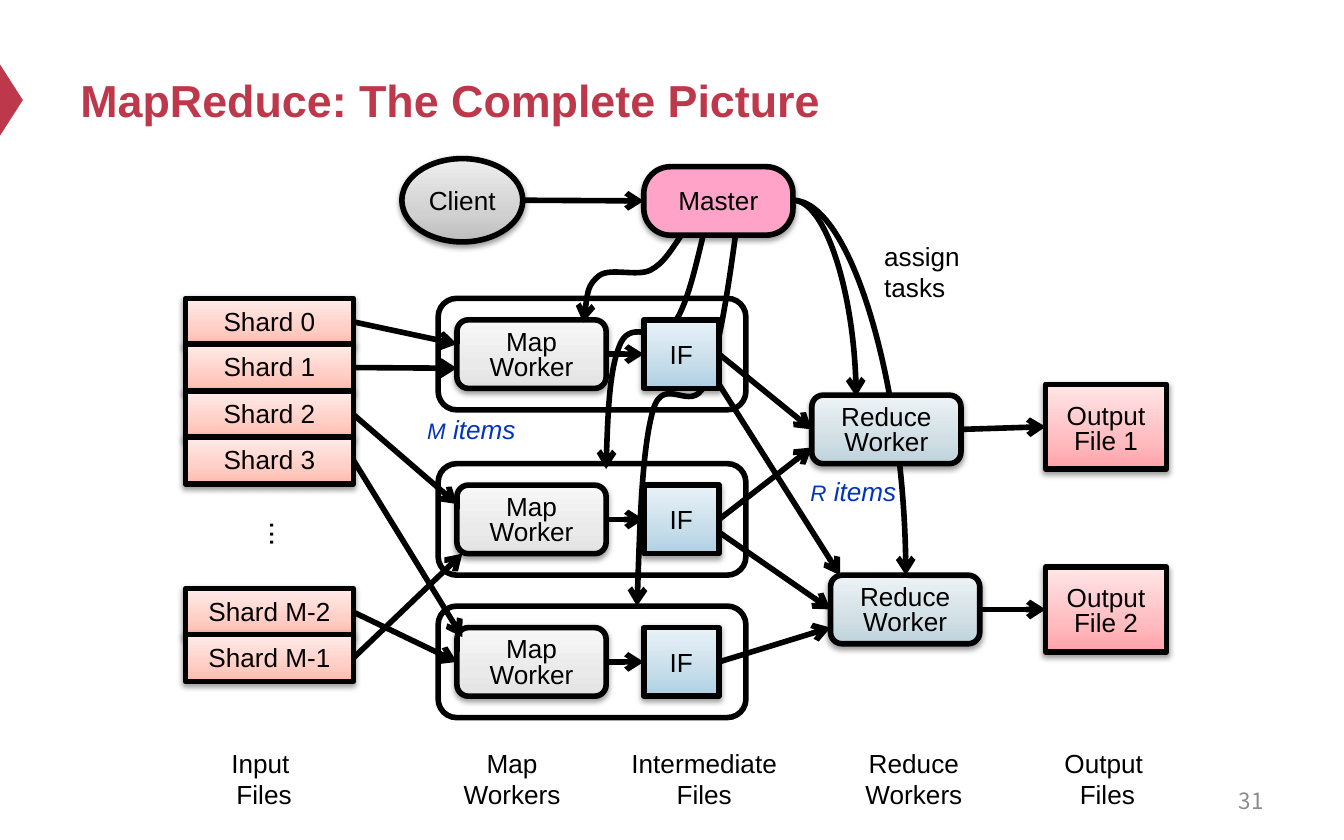
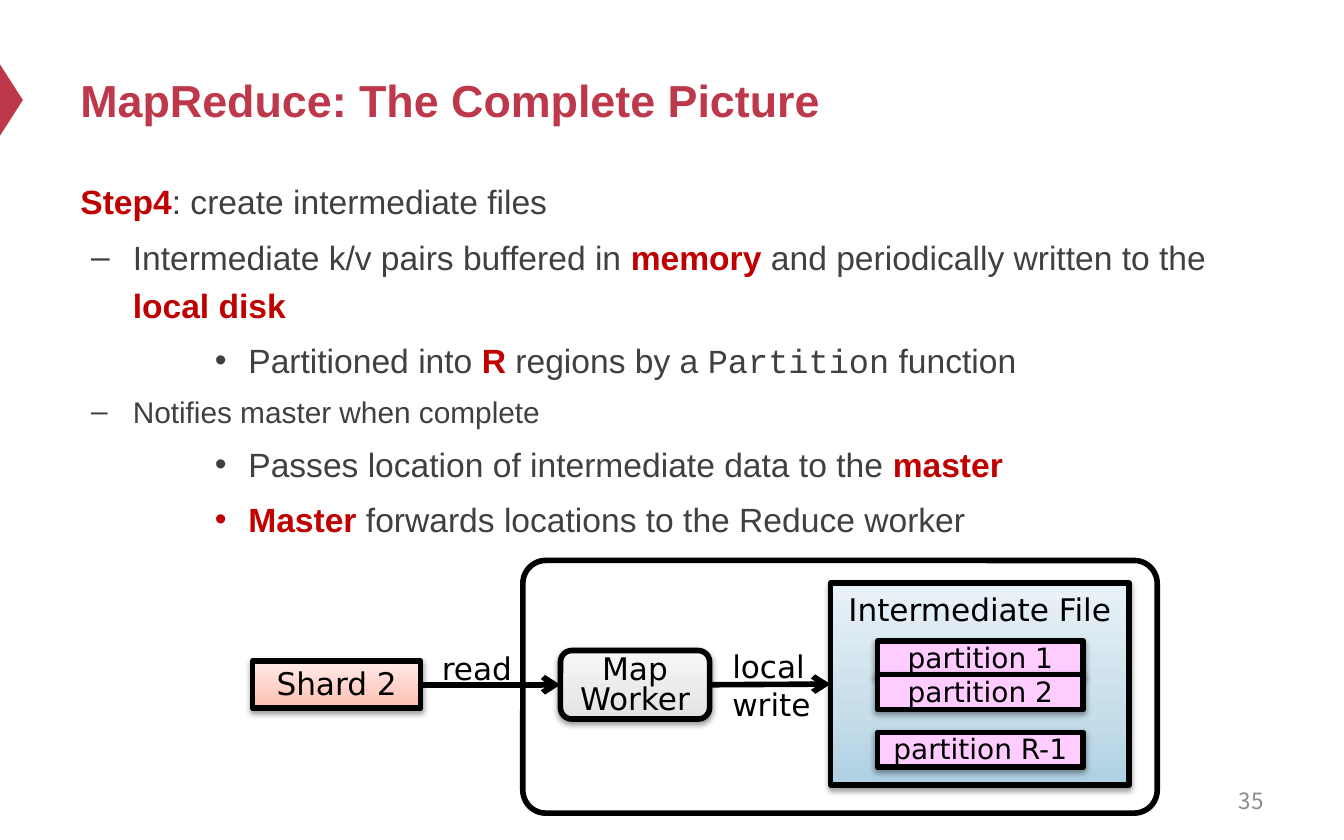
"""Build two slides that explain the MapReduce workflow."""
import copy
from dataclasses import asdict, dataclass
from typing import Any, Optional, Union

import lxml.etree
import pptx
import pptx.dml.color
import pptx.enum.dml
import pptx.enum.shapes
import pptx.enum.text
import pptx.oxml.ns
import pptx.util

EMU_PER_PX = 9144
SHAPES = pptx.enum.shapes.MSO_SHAPE
CONNECTORS = pptx.enum.shapes.MSO_CONNECTOR
ALIGN = pptx.enum.text.PP_ALIGN
ANCHOR = pptx.enum.text.MSO_ANCHOR
FIT = pptx.enum.text.MSO_AUTO_SIZE
TOP, LEFT, BOTTOM, RIGHT = range(4)

BLACK, BRAND, ACCENT, BODY, NOTE, PAGE_NUMBER = (
    "000000", "BE384B", "C00000", "404040", "0233BE", "8C8C8C")
PEACH = ("FFBBAE", "FFCEC5", "FFECE9")
BLUE = ("ADD0E3", "C6DDEA", "E9F2F8")
GREY = ("E2E2E2", "EAEAEA", "F7F7F7")
DARK_GREY = ("BDBDBD", "D1D1D1", "EEEEEE")
TEAL = ("BDD3DB", "D1DFE5", "EDF3F5")
ROSE = ("FFA2A8", "FFBDC1", "FFE6E7")
Point = tuple[int, int]


@dataclass(frozen=True)
class NodeStyle:
    """Look of one kind of diagram node."""
    kind: Any
    width: int
    height: int
    fill: Union[str, tuple[str, ...], None]
    insets: tuple[int, int, int, int] = (10, 5, 10, 5)
    spacing: Optional[float] = None
    wrap: bool = False
    anchor: Any = ANCHOR.MIDDLE
    corner: Optional[float] = None


@dataclass(frozen=True)
class Joint:
    """Middle of one side of a node."""
    node: Any
    side: int


@dataclass(frozen=True)
class Span:
    """Stretch of body text in one format."""
    text: str
    size: float = 18
    font: str = "Arial"
    color: str = BODY
    bold: bool = False


@dataclass(frozen=True)
class Level:
    """Indents and bullet of an outline level."""
    depth: int
    left: int = 0
    indent: int = 0
    bullet: str = ""


End = Union[Point, Joint]
SHARD = NodeStyle(SHAPES.RECTANGLE, 125, 35, PEACH, (10, 3, 10, 5))
MAPPER = NodeStyle(SHAPES.ROUNDED_RECTANGLE, 111, 51, GREY, (8, 3, 8, 0), 0.8)
REDUCER = NodeStyle(SHAPES.ROUNDED_RECTANGLE, 111, 51, TEAL, (8, 3, 8, 0), 0.8)
MASTER = NodeStyle(SHAPES.ROUNDED_RECTANGLE, 111, 51, "FFA3C8", (8, 3, 8, 4), corner=0.391)
CLIENT = NodeStyle(SHAPES.OVAL, 90, 62, DARK_GREY, (8, 3, 8, 4))
BUFFER = NodeStyle(SHAPES.RECTANGLE, 56, 51, BLUE, wrap=True)
OUTPUT = NodeStyle(SHAPES.RECTANGLE, 90, 63, ROSE, (10, 5, 10, 0), 0.8)
FRAME = NodeStyle(SHAPES.ROUNDED_RECTANGLE, 229, 83, None)
WIDE_FRAME = NodeStyle(SHAPES.ROUNDED_RECTANGLE, 472, 188, None, corner=0.091)
FILE = NodeStyle(SHAPES.RECTANGLE, 222, 150, BLUE, wrap=True, anchor=ANCHOR.TOP)
PARTITION = NodeStyle(SHAPES.RECTANGLE, 153, 26, "FFCCFF", (10, 3, 10, 5))


def px(value: float) -> int:
    """Turn px into EMU."""
    return int(value * EMU_PER_PX)


def rgb(value: str) -> pptx.dml.color.RGBColor:
    """Turn a hex string into a colour."""
    return pptx.dml.color.RGBColor.from_string(value)


def element(parent: Any, tag: str, **attributes: str) -> Any:
    """Append a DrawingML element."""
    return lxml.etree.SubElement(parent, pptx.oxml.ns.qn(tag), **attributes)


def add_span(para: Any, text: str, *, size: float = 14, font: str = "Arial",
             color: str = BLACK, bold: bool = False, italic: bool = False) -> None:
    """Append formatted text, with a line break for each newline."""
    for index, line in enumerate(text.split("\n")):
        if index:
            para.add_line_break()
            para._p[-1].append(copy.deepcopy(span._r.rPr))
        span = para.add_run()
        span.text = line
        span.font.size = pptx.util.Pt(size)
        span.font.name = font
        span.font.color.rgb = rgb(color)
        span.font.bold = bold
        span.font.italic = italic


def write(box: Any, *texts: str, insets: tuple[int, int, int, int] = (10, 5, 10, 5),
          anchor: Any = ANCHOR.TOP, wrap: bool = True, align: Any = ALIGN.LEFT,
          spacing: Optional[float] = None, **look: Any) -> None:
    """Fill a shape with one paragraph per text."""
    frame = box.text_frame
    frame.word_wrap = wrap
    frame.vertical_anchor = anchor
    frame.margin_left, frame.margin_top, frame.margin_right, frame.margin_bottom = map(px, insets)
    for index, text in enumerate(texts):
        para = frame.add_paragraph() if index else frame.paragraphs[0]
        para.alignment = align
        para.line_spacing = spacing
        add_span(para, text, **look)


def add_label(page: Any, area: tuple[int, int, int, int], text: str, *, fit: bool = True,
              **look: Any) -> Any:
    """Add a text box."""
    box = page.shapes.add_textbox(*map(px, area))
    write(box, text, **look)
    if fit:
        box.text_frame.auto_size = FIT.SHAPE_TO_FIT_TEXT
    return box


def set_line(shape: Any, arrow: bool = False) -> None:
    """Give a shape the thick black line."""
    shape.line.color.rgb = rgb(BLACK)
    shape.line.width = pptx.util.Pt(3)
    if arrow:
        element(shape._element.spPr.find(pptx.oxml.ns.qn("a:ln")), "a:tailEnd", type="arrow")


def set_fill(shape: Any, fill: Union[str, tuple[str, ...], None]) -> None:
    """Fill with nothing, one colour, or a gradient rising from the bottom."""
    if fill is None:
        shape.fill.background()
    elif isinstance(fill, str):
        shape.fill.solid()
        shape.fill.fore_color.rgb = rgb(fill)
    else:
        shape.fill.gradient()
        shape.fill.gradient_angle = 90
        stops = shape._element.spPr.xpath(".//a:gsLst")[0]
        stops.append(copy.deepcopy(stops[0]))
        for stop, position, color in zip(shape.fill.gradient_stops, (0, 0.35, 1), fill):
            stop.position = position
            stop.color.rgb = rgb(color)


def add_node(page: Any, style: NodeStyle, left: int, top: int, *texts: str, **look: Any) -> Any:
    """Add a diagram node; a filled one drops a shadow."""
    node = page.shapes.add_shape(style.kind, *map(px, (left, top, style.width, style.height)))
    if style.corner is not None:
        node.adjustments[0] = style.corner
    set_fill(node, style.fill)
    set_line(node)
    node.shadow.inherit = False
    if style.fill:
        effects = node._element.spPr.find(pptx.oxml.ns.qn("a:effectLst"))
        shadow = element(effects, "a:outerShdw", blurRad="39370", dist="20320",
                         dir="5400000", rotWithShape="0")
        element(element(shadow, "a:srgbClr", val=BLACK), "a:alpha", val="38000")
    if texts:
        write(node, *texts, insets=style.insets, anchor=style.anchor, wrap=style.wrap,
              align=ALIGN.CENTER, spacing=style.spacing, **look)
    return node


def add_arrow(page: Any, start: End, end: End, kind: Any = CONNECTORS.STRAIGHT) -> None:
    """Add an arrow between points or joints."""
    places = [(0, 0) if isinstance(stop, Joint) else stop for stop in (start, end)]
    line = page.shapes.add_connector(kind, *(px(value) for place in places for value in place))
    if isinstance(start, Joint):
        line.begin_connect(start.node, start.side)
    if isinstance(end, Joint):
        line.end_connect(end.node, end.side)
    if kind == CONNECTORS.CURVE:
        line._element.spPr.find(pptx.oxml.ns.qn("a:prstGeom")).set("prst", "curvedConnector2")
    set_line(line, arrow=True)
    element(line._element.spPr, "a:effectLst")


def add_curve(page: Any, start: Point, *points: Point) -> None:
    """Add an arrow along cubic curves, three points for each."""
    builder = page.shapes.build_freeform(*start, scale=EMU_PER_PX)
    builder.add_line_segments(points, close=False)
    curve = builder.convert_to_shape()
    outline = curve._element.spPr.xpath(".//a:path")[0]
    segments = outline.findall(pptx.oxml.ns.qn("a:lnTo"))
    for first in range(0, len(segments), 3):
        bend = element(outline, "a:cubicBezTo")
        for segment in segments[first:first + 3]:
            bend.append(segment[0])
            outline.remove(segment)
    set_fill(curve, None)
    set_line(curve, arrow=True)
    curve.shadow.inherit = False


def add_page(deck: Any, number: int) -> Any:
    """Add a page with the side marker, title and page number."""
    page = deck.slides.add_slide(deck.slide_layouts[6])
    marker = page.shapes.add_shape(SHAPES.ISOSCELES_TRIANGLE, *map(px, (-18, 66, 53, 17)))
    marker.rotation = 90
    set_fill(marker, BRAND)
    marker.line.fill.background()
    marker.shadow.inherit = False
    add_label(page, (50, 25, 900, 98), "MapReduce: The Complete Picture", fit=False,
              anchor=ANCHOR.MIDDLE, size=24, color=BRAND, bold=True)
    add_label(page, (717, 579, 233, 33), str(number), fit=False, anchor=ANCHOR.MIDDLE,
              align=ALIGN.RIGHT, size=12, font="Noto Sans CJK SC", color=PAGE_NUMBER)
    return page


def build_workflow(deck: Any) -> None:
    """Draw the whole workflow from shards to output files."""
    page = add_page(deck, 31)
    add_arrow(page, (590, 149), (674, 428), CONNECTORS.CURVE)
    add_curve(page, (547, 177), (541, 221), (534, 266), (524, 287),
              (514, 308), (494, 278), (486, 305), (478, 333), (476, 392), (474, 451))
    add_curve(page, (524, 172), (517, 201), (511, 229), (500, 243),
              (490, 257), (471, 237), (462, 255), (454, 272), (452, 311), (451, 349))
    shards = [add_node(page, SHARD, 138, top + index * 69 // 2, f"Shard {name}")
              for top, names in ((222, ("0", "1", "2", "3")), (438, ("M-2", "M-1")))
              for index, name in enumerate(names)]
    buffers, mappers = [], []
    for top in (222, 345, 451):
        buffers.append(add_node(page, BUFFER, 479, top + 16, "IF"))
        mappers.append(add_node(page, MAPPER, 340, top + 16, "Map\nWorker"))
        add_arrow(page, Joint(mappers[-1], RIGHT), Joint(buffers[-1], LEFT))
        add_node(page, FRAME, 326, top)
    reducers = [add_node(page, REDUCER, left, top, "Reduce\nWorker")
                for left, top in ((604, 294), (618, 428))]
    outputs = [add_node(page, OUTPUT, 778, top, "Output", f"File {index}")
               for index, top in enumerate((286, 422), 1)]
    add_node(page, CLIENT, 299, 118, "Client")
    master = add_node(page, MASTER, 479, 124, "Master")
    add_arrow(page, (590, 149), (637, 295), CONNECTORS.CURVE)
    add_curve(page, (507, 175), (500, 185), (494, 196), (484, 201),
              (474, 206), (454, 199), (446, 205), (437, 212), (436, 226), (434, 240))
    add_arrow(page, (389, 149), Joint(master, LEFT))
    shard_ends = ((340, 256), (340, 274), (340, 375), (344, 474),
                  Joint(mappers[2], LEFT), (344, 412))
    for shard, end in zip(shards, shard_ends):
        add_arrow(page, Joint(shard, RIGHT), end)
    for start, end in ((Joint(buffers[0], RIGHT), Joint(reducers[0], LEFT)),
                       ((535, 286), (625, 428)),
                       (Joint(buffers[1], RIGHT), (604, 333)),
                       ((535, 396), Joint(reducers[1], LEFT)),
                       (Joint(buffers[2], RIGHT), (618, 467))):
        add_arrow(page, start, end)
    for reducer, output in zip(reducers, outputs):
        add_arrow(page, Joint(reducer, RIGHT), Joint(output, LEFT))
    for left, width, text, wrap in ((162, 69, "Input \nFiles", False),
                                    (319, 124, "Map Workers", True),
                                    (438, 172, "Intermediate Files", True),
                                    (618, 124, "Reduce Workers", True),
                                    (782, 84, "Output \nFiles", False)):
        add_label(page, (left, 551, width, 57), text, wrap=wrap, align=ALIGN.CENTER)
    for area, letter, align in (((308, 303, 124, 34), "M", ALIGN.LEFT),
                                ((578, 349, 114, 34), "R", ALIGN.CENTER)):
        box = add_label(page, area, letter, align=align, size=12, color=NOTE, italic=True)
        add_span(box.text_frame.paragraphs[0], " items", color=NOTE, italic=True)
    add_label(page, (648, 174, 82, 57), "assign \ntasks", wrap=False)
    dots = add_label(page, (190, 379, 39, 37), "...", wrap=False, align=ALIGN.CENTER, size=16)
    dots.rotation = 90


def add_outline(page: Any, items: list[tuple[Level, list[Span]]]) -> None:
    """Add the bulleted body text."""
    frame = page.shapes.add_textbox(*map(px, (50, 124, 900, 412))).text_frame
    frame.word_wrap = True
    for index, (level, spans) in enumerate(items):
        para = frame.add_paragraph() if index else frame.paragraphs[0]
        para.level = level.depth
        para.line_spacing = 1.2
        if index:
            para.space_before = pptx.util.Pt(0.2 * spans[0].size)
        if level.bullet:
            properties = para._p.get_or_add_pPr()
            properties.set("marL", str(px(level.left)))
            properties.set("indent", str(px(level.indent)))
            element(properties, "a:buFont", typeface="Arial")
            element(properties, "a:buChar", char=level.bullet)
        for span in spans:
            add_span(para, **asdict(span))


def build_step(deck: Any) -> None:
    """Explain how intermediate files are created."""
    page = add_page(deck, 35)
    step, dash, dot = Level(0), Level(1, 39, -31, "–"), Level(2, 125, -25, "•")

    def key(text: str) -> Span:
        """Mark a key term."""
        return Span(text, color=ACCENT, bold=True)

    add_outline(page, [
        (step, [key("Step4"), Span(": create intermediate files")]),
        (dash, [Span("Intermediate k/v pairs buffered in "), key("memory"),
                Span(" and periodically written to the "), key("local disk")]),
        (dot, [Span("Partitioned into "), key("R"), Span(" regions by a "),
               Span("Partition", font="Courier New"), Span(" function")]),
        (dash, [Span("Notifies master when complete", size=16)]),
        (dot, [Span("Passes location of intermediate data to the "), key("master")]),
        (dot, [key("Master"), Span(" forwards locations to the Reduce worker")])])
    look = {"size": 16.7, "font": "DejaVu Sans"}
    mapper = add_node(page, MAPPER, 417, 484, "Map\nWorker", **look)
    shard = add_node(page, SHARD, 188, 492, "Shard 2", **look)
    file = add_node(page, FILE, 618, 434, "Intermediate File", **look)
    add_arrow(page, Joint(shard, RIGHT), Joint(mapper, LEFT))
    add_arrow(page, Joint(mapper, RIGHT), Joint(file, LEFT))
    for top, name in ((477, "1"), (545, "R-1"), (502, "2")):
        add_node(page, PARTITION, 653, top, f"partition {name}", size=15, font="DejaVu Sans")
    add_node(page, WIDE_FRAME, 389, 417)
    add_label(page, (319, 478, 73, 38), "read", wrap=False, **look)
    add_label(page, (535, 477, 79, 66), "local\nwrite", wrap=False, **look)


def main() -> None:
    """Build and save the deck."""
    deck = pptx.Presentation()
    deck.slide_width, deck.slide_height = px(1000), px(625)
    build_workflow(deck)
    build_step(deck)
    deck.save("out.pptx")


if __name__ == "__main__":
    main()
